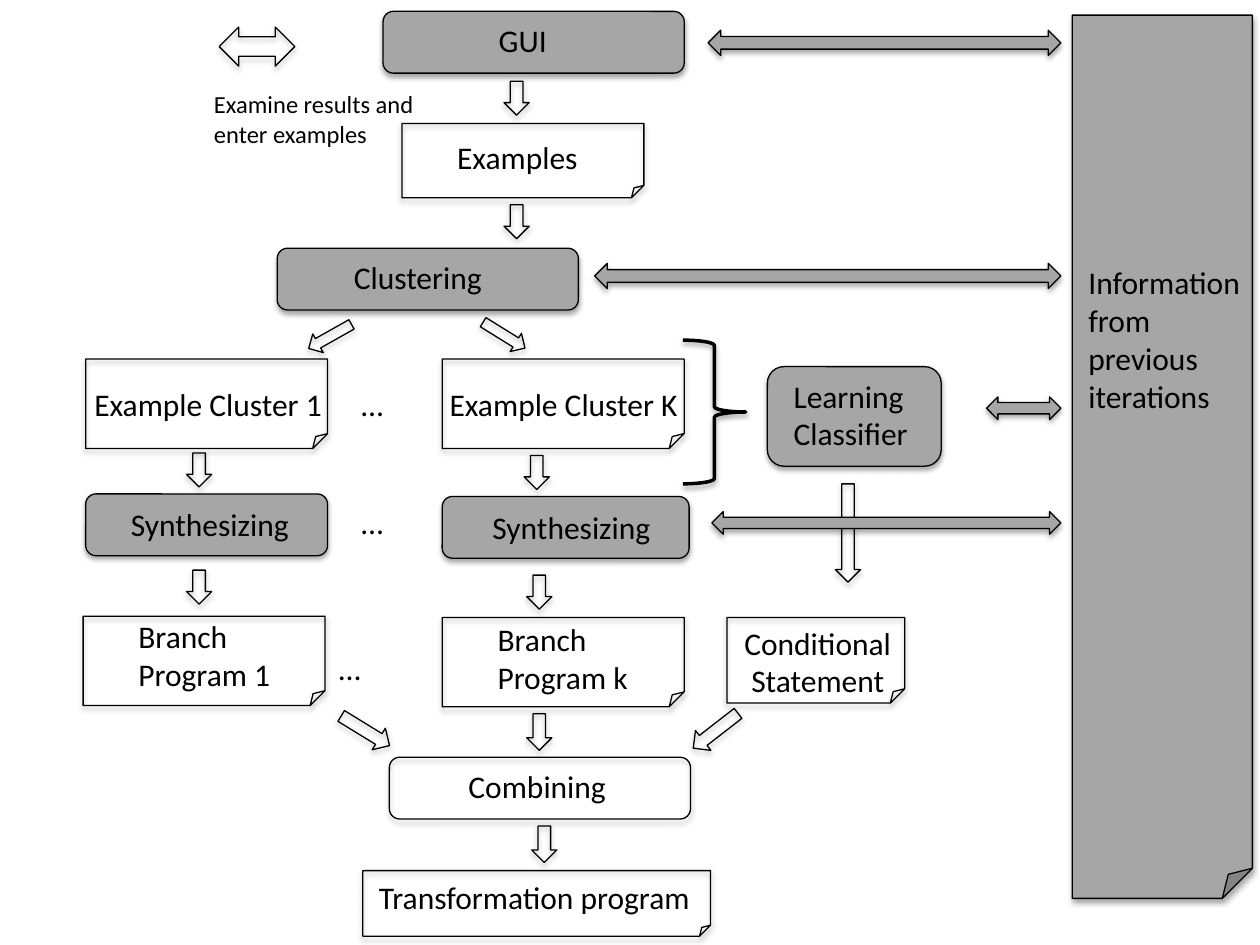
from dataclasses import dataclass

from lxml.etree import SubElement
from pptx import Presentation
from pptx.dml.color import RGBColor
from pptx.enum.shapes import MSO_SHAPE as Shape
from pptx.enum.text import MSO_AUTO_SIZE as AutoSize, PP_ALIGN as Align
from pptx.oxml.ns import qn
from pptx.util import Inches, Pt


@dataclass(frozen=True)
class Theme:
    font: str = "Calibri"
    label_size: int = 18
    note_size: int = 14
    outline: float = 0.75
    brace_outline: float = 2
    ink: RGBColor = RGBColor(0, 0, 0)
    gray: RGBColor = RGBColor(0xA6, 0xA6, 0xA6)


THEME = Theme()
STEP, SHEET = Shape.ROUNDED_RECTANGLE, Shape.FOLDED_CORNER

# kind, (left, top, width, height), gray, label lines, (label left, top, width, height), wraps
NODES = [
    (STEP, (3.04, 0.09, 2.39, 0.49), True, ["GUI"], (3.86, 0.12, 0.92, 0.4), True),
    (SHEET, (3.19, 0.98, 1.92, 0.59), False, ["Examples"], (3.53, 1.05, 1.17, 0.4), False),
    (STEP, (2.2, 1.97, 2.39, 0.49), True, ["Clustering"], (2.71, 2, 1.43, 0.4), True),
    (SHEET, (0.68, 2.85, 1.92, 0.71), False, ["Example Cluster 1"], (0.65, 3.01, 2.04, 0.4), False),
    (SHEET, (3.51, 2.85, 1.92, 0.71), False, ["Example Cluster K"], (3.47, 3.01, 2.04, 0.4), False),
    (STEP, (6.09, 2.91, 1.38, 0.79), True, ["Learning Classifier"], (6.2, 2.94, 1.43, 0.71), True),
    (STEP, (0.68, 3.92, 1.92, 0.49), True, ["Synthesizing"], (0.94, 3.96, 1.66, 0.4), True),
    (STEP, (3.51, 3.94, 1.96, 0.49), True, ["Synthesizing"], (3.81, 3.98, 1.66, 0.4), True),
    (SHEET, (0.66, 4.89, 1.92, 0.71), False, ["Branch", "Program 1"], (1, 4.85, 1.27, 0.71), False),
    (SHEET, (3.51, 4.9, 1.92, 0.71), False, ["Branch", "Program k"], (3.85, 4.87, 1.25, 0.71), False),
    (SHEET, (5.77, 4.9, 1.41, 0.68), False, ["Conditional", "Statement"], (5.8, 4.9, 1.38, 0.71), False),
    (STEP, (3.09, 6.01, 2.39, 0.49), False, ["Combining"], (3.62, 6.04, 1.43, 0.4), True),
    (SHEET, (2.88, 6.91, 2.76, 0.52), False, ["Transformation program"], (2.91, 6.92, 2.73, 0.4), False),
    (SHEET, (8.51, 0.12, 1.43, 7.01), True, ["Information", "from previous iterations"],
     (8.54, 2.04, 1.43, 1.31), True),
]
CENTRED_LABELS = {"Conditional"}
NOTE = ["Examine results and", "enter examples"]
NOTE_AT = (1.6, 0.66, 1.8, 0.57)
ELLIPSES = [(2.77, 3.01), (2.77, 3.94), (2.59, 5.1)]
BRACE_AT = (5.42, 2.7, 0.5, 1.14)
USER_ARROW = (2.04, 0.37, 0.6, 0.31)

# centre x, centre y, length, thickness, angle
FLOWS = [
    (4.1, 0.78, 0.27, 0.2, 90),
    (4.1, 1.76, 0.27, 0.2, 90),
    (2.62, 2.67, 0.39, 0.17, 150.6),
    (4.0, 2.66, 0.39, 0.17, 31.8),
    (1.58, 3.73, 0.27, 0.2, 90),
    (4.26, 3.75, 0.27, 0.2, 90),
    (1.58, 4.66, 0.27, 0.2, 90),
    (4.28, 4.7, 0.27, 0.2, 90),
    (6.73, 4.23, 0.78, 0.2, 90),
    (2.9, 5.8, 0.45, 0.2, 31.5),
    (4.28, 5.81, 0.29, 0.2, 90),
    (5.68, 5.8, 0.45, 0.2, 142.2),
    (4.32, 6.7, 0.29, 0.2, 90),
]
# left end, centre y, thickness; every link ends beside the information sheet
LINKS = [(5.62, 0.34, 0.2), (4.72, 2.19, 0.2), (7.83, 3.24, 0.18), (5.65, 4.15, 0.18)]
LINK_END = 8.42


def add_soft_shadow(shape):
    shape.shadow.inherit = False
    effects = shape._element.spPr.find(qn("a:effectLst"))
    shadow = SubElement(effects, qn("a:outerShdw"), blurRad=str(Pt(3.1)), dist=str(Pt(1.8)),
                        dir="5400000", rotWithShape="0")
    color = SubElement(shadow, qn("a:srgbClr"), val=str(THEME.ink))
    SubElement(color, qn("a:alpha"), val="35000")


def add_figure(page, kind, at, gray=False, outline=THEME.outline):
    shape = page.shapes.add_shape(kind, *map(Inches, at))
    if gray:
        shape.fill.solid()
        shape.fill.fore_color.rgb = THEME.gray
    else:
        shape.fill.background()
    shape.line.color.rgb = THEME.ink
    shape.line.width = Pt(outline)
    add_soft_shadow(shape)
    return shape


def add_arrow(page, kind, x, y, length, thickness, angle=0, gray=False):
    """Add a block arrow around its centre."""
    at = (x - length / 2, y - thickness / 2, length, thickness)
    add_figure(page, kind, at, gray).rotation = angle


def add_label(page, lines, at, size=THEME.label_size, wraps=True, align=Align.LEFT):
    box = page.shapes.add_textbox(*map(Inches, at))
    frame = box.text_frame
    frame.text = "\n".join(lines)
    frame.word_wrap = wraps
    frame.auto_size = AutoSize.SHAPE_TO_FIT_TEXT
    for para in frame.paragraphs:
        para.alignment = align
        for span in para.runs:
            span.font.name = THEME.font
            span.font.size = Pt(size)
            span.font.color.rgb = THEME.ink


def main():
    deck = Presentation()
    deck.slide_width, deck.slide_height = Inches(10), Inches(7.5)
    page = deck.slides.add_slide(deck.slide_layouts[6])

    for kind, at, gray, lines, label_at, wraps in NODES:
        add_figure(page, kind, at, gray)
        align = Align.CENTER if lines[0] in CENTRED_LABELS else Align.LEFT
        add_label(page, lines, label_at, wraps=wraps, align=align)

    add_label(page, NOTE, NOTE_AT, size=THEME.note_size, wraps=False)
    for left, top in ELLIPSES:
        add_label(page, ["…"], (left, top, 0.98, 0.4))

    add_figure(page, Shape.RIGHT_BRACE, BRACE_AT, outline=THEME.brace_outline)
    add_arrow(page, Shape.LEFT_RIGHT_ARROW, *USER_ARROW)
    for flow in FLOWS:
        add_arrow(page, Shape.RIGHT_ARROW, *flow)
    for start, y, thickness in LINKS:
        add_arrow(page, Shape.LEFT_RIGHT_ARROW, (start + LINK_END) / 2, y,
                  LINK_END - start, thickness, gray=True)

    deck.save("out.pptx")


if __name__ == "__main__":
    main()
